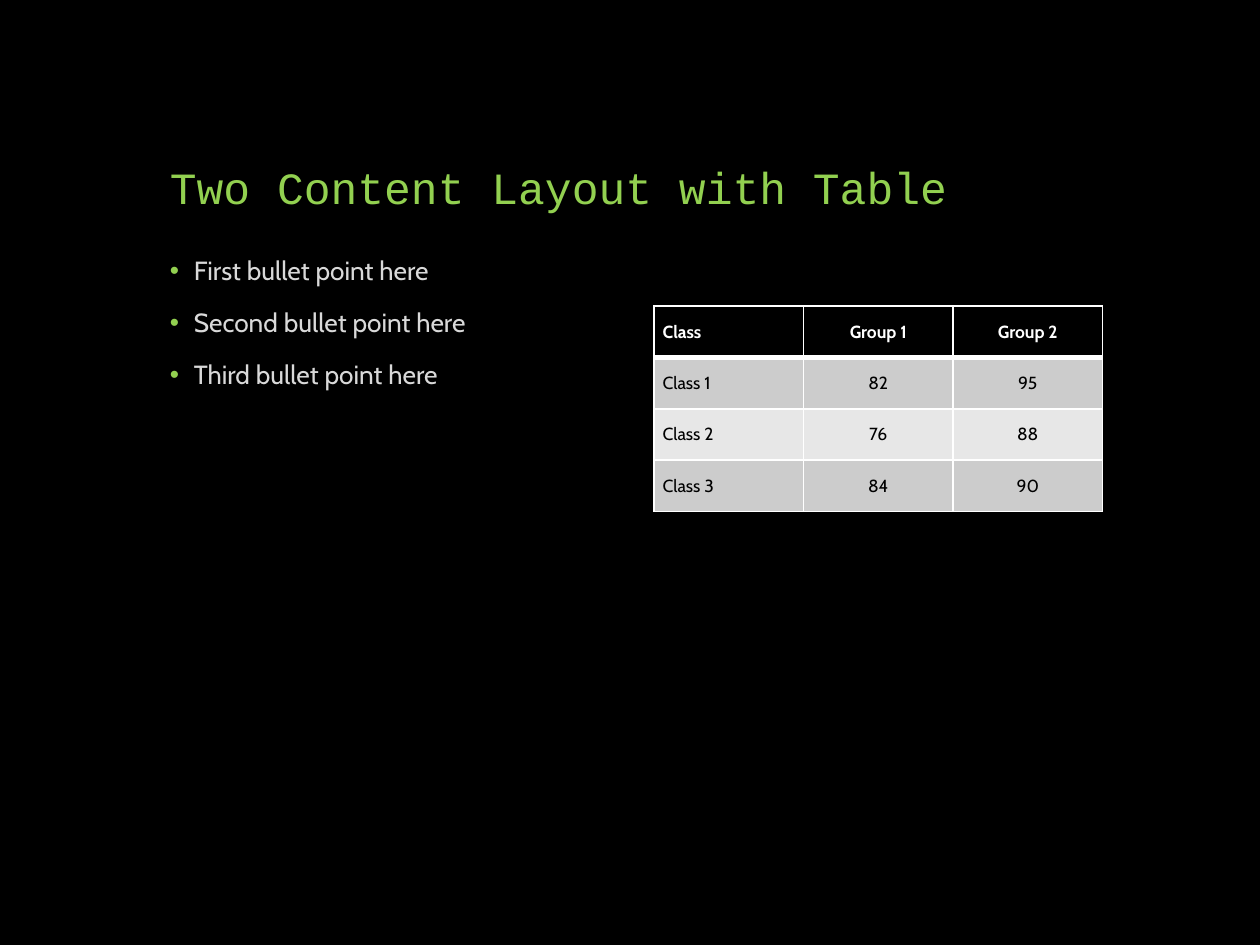
from lxml import etree
from pptx import Presentation
from pptx.dml.color import RGBColor
from pptx.enum.text import MSO_ANCHOR, PP_ALIGN
from pptx.oxml.ns import qn
from pptx.util import Inches, Pt

TOP, MIDDLE, BOTTOM = MSO_ANCHOR.TOP, MSO_ANCHOR.MIDDLE, MSO_ANCHOR.BOTTOM
LEFT, CENTER = PP_ALIGN.LEFT, PP_ALIGN.CENTER

BLACK = RGBColor(0x00, 0x00, 0x00)
WHITE = RGBColor(0xFF, 0xFF, 0xFF)
GREEN = RGBColor(0x92, 0xD0, 0x50)
PALE_GRAY = RGBColor(0xD9, 0xD9, 0xD9)
BANDS = (RGBColor(0xCC, 0xCC, 0xCC), RGBColor(0xE7, 0xE7, 0xE7))

TITLE = "Two Content Layout with Table"
BULLETS = ["First bullet point here", "Second bullet point here", "Third bullet point here"]
SCORES = [
    ("Class", "Group 1", "Group 2"),
    ("Class 1", "82", "95"),
    ("Class 2", "76", "88"),
    ("Class 3", "84", "90"),
]

TITLE_FONT = {"name": "Courier New", "size": Pt(25.5)}
BULLET_FONT = {"name": "Cabin", "size": Pt(15)}
HEADER_FONT = {"name": "Cabin", "size": Pt(10), "bold": True}
BODY_FONT = {**HEADER_FONT, "bold": False}
BULLET_SPACING = {"line_spacing": 0.9, "space_before": Pt(13.5)}
CELL_FORMAT = {
    "vertical_anchor": MIDDLE,
    "margin_left": Inches(0.07), "margin_right": Inches(0.07),
    "margin_top": Inches(0.04), "margin_bottom": Inches(0.04),
}
TABLE_WIDTH, TABLE_HEIGHT = 3.56, 1.63
INDENT = Inches(0.19)
THIN, THICK = Pt(1), Pt(3)


def apply(target, values):
    for name, value in values.items():
        setattr(target, name, value)


def add_span(para, text, font, color):
    span = para.add_run()
    span.text = text
    apply(span.font, font)
    span.font.color.rgb = color


def add_text_frame(page, left, top, width, height, anchor):
    box = page.shapes.add_textbox(Inches(left), Inches(top), Inches(width), Inches(height))
    apply(box.text_frame, {"word_wrap": True, "vertical_anchor": anchor})
    return box.text_frame


def add_bullet(para):
    properties = para._p.get_or_add_pPr()
    properties.set("marL", str(INDENT))
    properties.set("indent", str(-INDENT))
    color = etree.SubElement(properties, qn("a:buClr"))
    etree.SubElement(color, qn("a:srgbClr"), val=str(GREEN))
    etree.SubElement(properties, qn("a:buFont"), typeface="Arial")
    etree.SubElement(properties, qn("a:buChar"), char="•")


def add_borders(cell, top, bottom):
    """Draw white cell borders; call before the fill is set, as the schema orders them."""
    properties = cell._tc.get_or_add_tcPr()
    widths = {"a:lnL": THIN, "a:lnR": THIN, "a:lnT": top, "a:lnB": bottom}
    for tag, width in widths.items():
        line = etree.SubElement(properties, qn(tag), w=str(width))
        fill = etree.SubElement(line, qn("a:solidFill"))
        etree.SubElement(fill, qn("a:srgbClr"), val=str(WHITE))


def add_scores(page):
    rows, columns = len(SCORES), len(SCORES[0])
    table = page.shapes.add_table(rows, columns, Inches(5.19), Inches(2.43),
                                  Inches(TABLE_WIDTH), Inches(TABLE_HEIGHT)).table
    for column in table.columns:
        column.width = Inches(TABLE_WIDTH / columns)
    for row in table.rows:
        row.height = Inches(TABLE_HEIGHT / rows)
    for r, values in enumerate(SCORES):
        header = r == 0
        for c, value in enumerate(values):
            cell = table.cell(r, c)
            apply(cell, CELL_FORMAT)
            add_borders(cell, THICK if r == 1 else THIN, THICK if header else THIN)
            cell.fill.solid()
            cell.fill.fore_color.rgb = BLACK if header else BANDS[(r - 1) % 2]
            para = cell.text_frame.paragraphs[0]
            para.alignment = CENTER if c else LEFT
            add_span(para, value, HEADER_FONT if header else BODY_FONT,
                     WHITE if header else BLACK)


def main():
    deck = Presentation()
    deck.slide_width, deck.slide_height = Inches(10), Inches(7.5)
    page = deck.slides.add_slide(deck.slide_layouts[6])
    page.background.fill.solid()
    page.background.fill.fore_color.rgb = BLACK

    title = add_text_frame(page, 1.25, 0.5, 7.5, 1.25, BOTTOM).paragraphs[0]
    title.line_spacing = 0.9
    add_span(title, TITLE, TITLE_FONT, GREEN)

    body = add_text_frame(page, 1.25, 2, 3.56, 4.67, TOP)
    for i, text in enumerate(BULLETS):
        para = body.add_paragraph() if i else body.paragraphs[0]
        apply(para, BULLET_SPACING)
        add_bullet(para)
        add_span(para, text, BULLET_FONT, PALE_GRAY)

    add_scores(page)
    deck.save("out.pptx")


if __name__ == "__main__":
    main()
